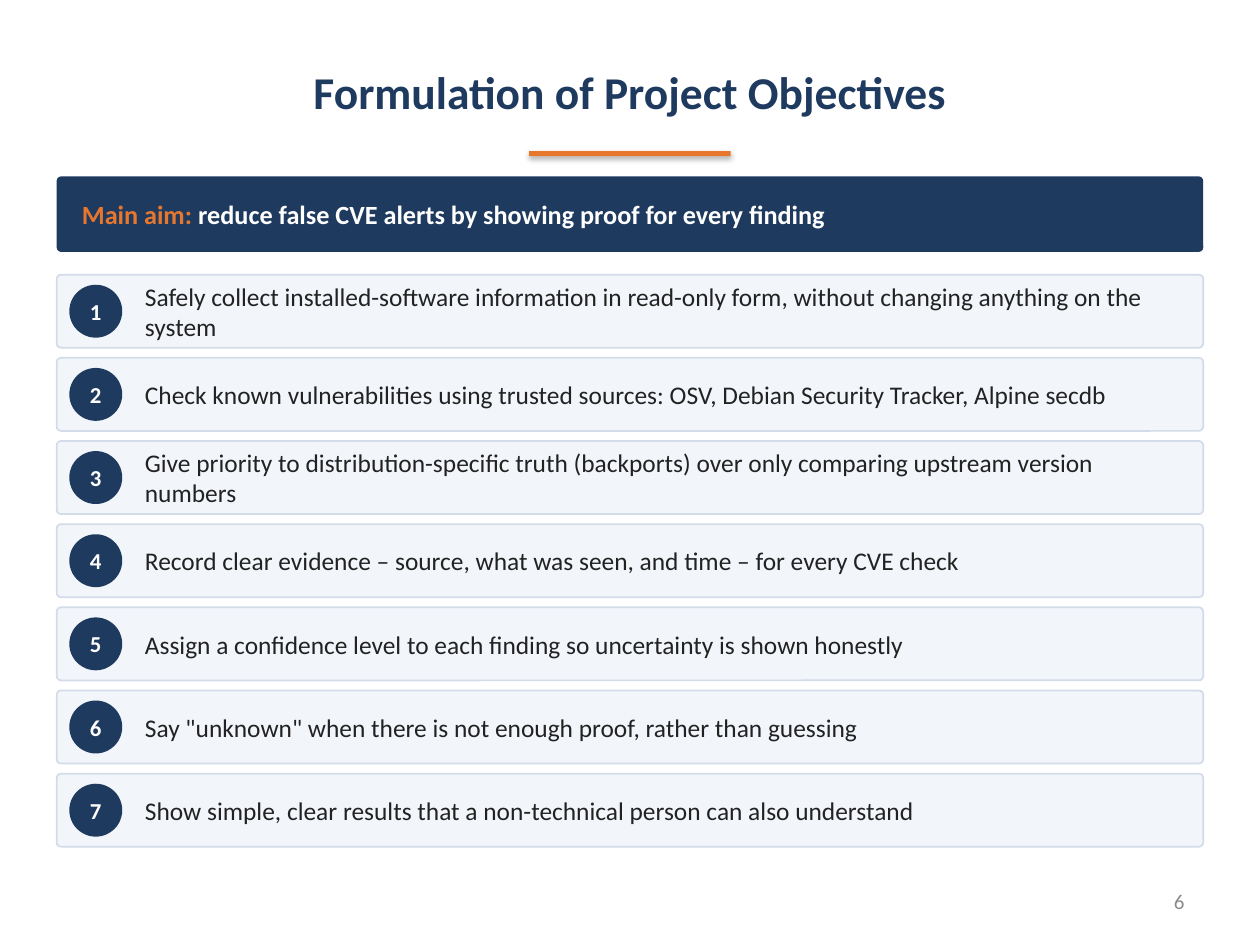
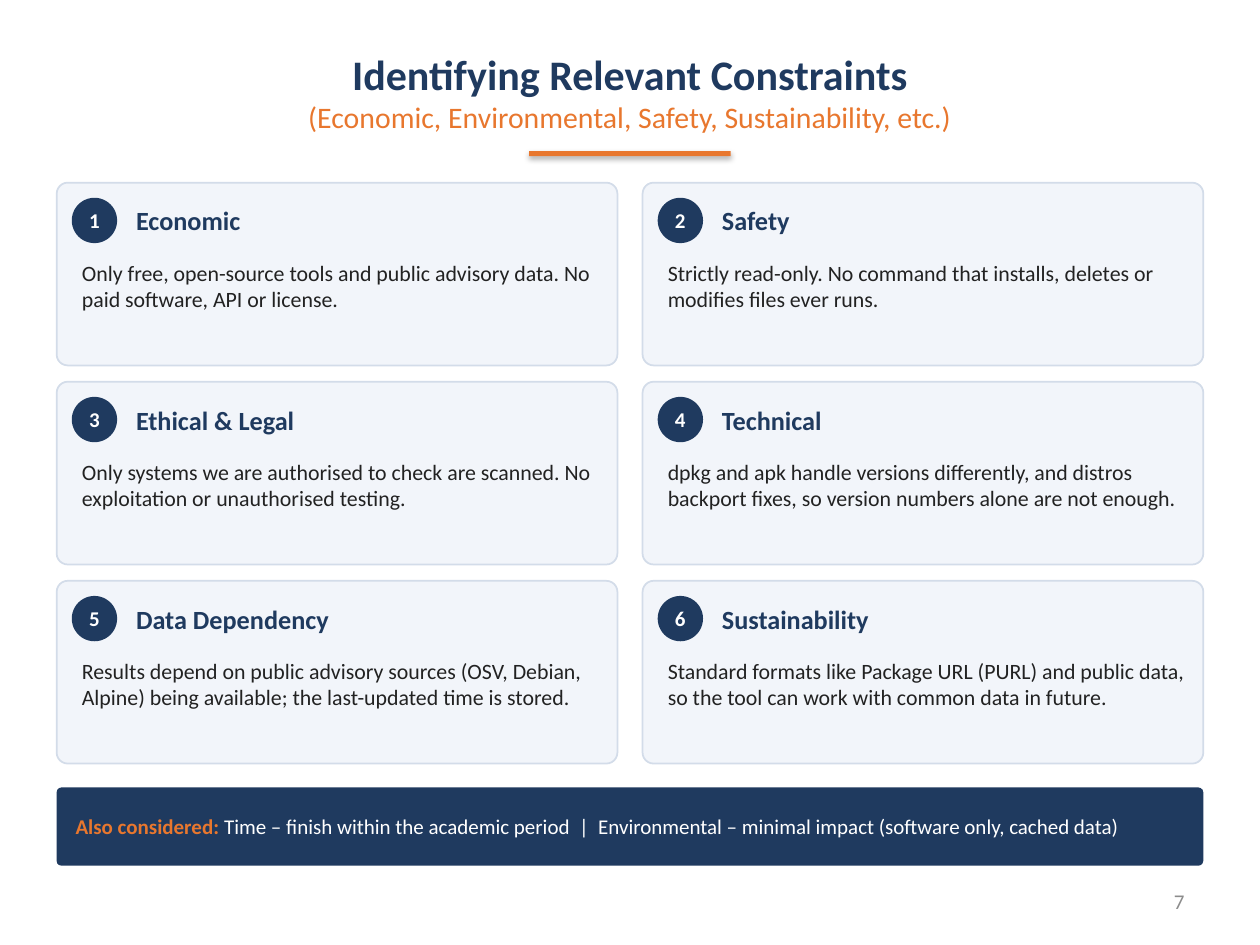
"""Build two slides: project objectives and relevant constraints."""
from pptx import Presentation
from pptx.dml.color import RGBColor
from pptx.enum.shapes import MSO_SHAPE
from pptx.enum.text import MSO_ANCHOR, MSO_AUTO_SIZE, PP_ALIGN
from pptx.util import Inches, Pt

RECT, ROUNDED, OVAL = MSO_SHAPE.RECTANGLE, MSO_SHAPE.ROUNDED_RECTANGLE, MSO_SHAPE.OVAL
TOP, MIDDLE = MSO_ANCHOR.TOP, MSO_ANCHOR.MIDDLE
LEFT, CENTER, RIGHT = PP_ALIGN.LEFT, PP_ALIGN.CENTER, PP_ALIGN.RIGHT
GROW = MSO_AUTO_SIZE.SHAPE_TO_FIT_TEXT

FONT = "Calibri"
NAVY, ORANGE, WHITE = "1F3A5F", "E8772E", "FFFFFF"
PANEL, BORDER, INK, GREY = "F2F5FA", "D3DCE9", "222222", "8C8C8C"
MARGIN, FULL_WIDTH = 0.45, 9.1
DEFAULT_INSETS, TIGHT_INSETS, NO_INSETS = (0.1, 0.05), (0.05, 0.03), (0, 0)

OBJECTIVES = [
    "Safely collect installed-software information in read-only form, "
    "without changing anything on the system",
    "Check known vulnerabilities using trusted sources: OSV, Debian Security Tracker, Alpine secdb",
    "Give priority to distribution-specific truth (backports) over only comparing "
    "upstream version numbers",
    "Record clear evidence – source, what was seen, and time – for every CVE check",
    "Assign a confidence level to each finding so uncertainty is shown honestly",
    'Say "unknown" when there is not enough proof, rather than guessing',
    "Show simple, clear results that a non-technical person can also understand",
]

CONSTRAINTS = [
    ("Economic",
     "Only free, open-source tools and public advisory data. No paid software, API or license."),
    ("Safety",
     "Strictly read-only. No command that installs, deletes or modifies files ever runs."),
    ("Ethical & Legal",
     "Only systems we are authorised to check are scanned. "
     "No exploitation or unauthorised testing."),
    ("Technical",
     "dpkg and apk handle versions differently, and distros backport fixes, "
     "so version numbers alone are not enough."),
    ("Data Dependency",
     "Results depend on public advisory sources (OSV, Debian, Alpine) being available; "
     "the last-updated time is stored."),
    ("Sustainability",
     "Standard formats like Package URL (PURL) and public data, "
     "so the tool can work with common data in future."),
]


def rgb(color):
    """Turn a hex string into a colour."""
    return RGBColor.from_string(color)


def style(size, color, bold=False):
    """Return the format values of a run."""
    return {"name": FONT, "size": Pt(size), "bold": bold, "color": color}


def write(tf, paragraphs, align=LEFT, anchor=MIDDLE, insets=TIGHT_INSETS, after=0):
    """Fill a text frame with paragraphs, each a list of (text, style) runs."""
    side, end = map(Inches, insets)
    frame = {"word_wrap": True, "vertical_anchor": anchor, "margin_left": side,
             "margin_right": side, "margin_top": end, "margin_bottom": end}
    for key, value in frame.items():
        setattr(tf, key, value)
    for i, runs in enumerate(paragraphs):
        p = tf.add_paragraph() if i else tf.paragraphs[0]
        p.alignment = align
        p.space_after = Pt(after)
        for text, values in runs:
            r = p.add_run()
            r.text = text
            for key, value in values.items():
                if key == "color":
                    r.font.color.rgb = rgb(value)
                else:
                    setattr(r.font, key, value)


def add_box(s, kind, at, fill, line=None, shadow=False):
    """Add a filled shape with an optional thin outline."""
    sp = s.shapes.add_shape(kind, *map(Inches, at))
    sp.fill.solid()
    sp.fill.fore_color.rgb = rgb(fill)
    if line:
        sp.line.color.rgb = rgb(line)
        sp.line.width = Pt(1)
    else:
        sp.line.fill.background()
    if not shadow:
        sp.shadow.inherit = False
    if kind == ROUNDED:
        sp.adjustments[0] = 0.06
    return sp


def add_text(s, at, paragraphs, **options):
    """Add a text box and return its frame."""
    tf = s.shapes.add_textbox(*map(Inches, at)).text_frame
    write(tf, paragraphs, **options)
    return tf


def add_body(s, at, runs, anchor=MIDDLE):
    """Add a one-paragraph text box that grows with its text."""
    add_text(s, at, [runs], anchor=anchor, after=3).auto_size = GROW


def add_badge(s, left, top, diameter, number, size):
    """Add a numbered navy circle."""
    sp = add_box(s, OVAL, (left, top, diameter, diameter), NAVY)
    write(sp.text_frame, [[(str(number), style(size, WHITE, True))]],
          align=CENTER, insets=NO_INSETS)


def add_banner(s, top, height, pad, label, message, size, bold):
    """Add a navy band with an orange label and a white message."""
    add_box(s, ROUNDED, (MARGIN, top, FULL_WIDTH, height), NAVY)
    add_body(s, (MARGIN + pad, top, FULL_WIDTH - 2 * pad, height),
             [(label, style(size, ORANGE, True)), (message, style(size, WHITE, bold))])


def add_base_slide(prs, number, title_lines):
    """Add a blank slide with title, page number and accent rule."""
    s = prs.slides.add_slide(prs.slide_layouts[6])
    add_text(s, (0.5, 0.25, 9, 0.95), [[line] for line in title_lines],
             align=CENTER, insets=DEFAULT_INSETS)
    add_text(s, (7.17, 6.95, 2.33, 0.4), [[(str(number), style(12, GREY))]],
             align=RIGHT, insets=DEFAULT_INSETS)
    add_box(s, RECT, (4.2, 1.2, 1.6, 0.04), ORANGE, shadow=True)
    return s


def add_objective(s, number, text):
    """Add one numbered objective row."""
    top = 2.18 + (number - 1) * 0.66
    add_box(s, ROUNDED, (MARGIN, top, FULL_WIDTH, 0.58), PANEL, BORDER)
    add_badge(s, MARGIN + 0.1, top + 0.08, 0.42, number, 13)
    add_body(s, (1.1, top, 8.35, 0.58), [(text, style(14.5, INK))])


def add_constraint(s, number, heading, text):
    """Add one numbered constraint card in the two-column grid."""
    row, col = divmod(number - 1, 2)
    left, top = MARGIN + col * 4.65, 1.45 + row * 1.58
    add_box(s, ROUNDED, (left, top, 4.45, 1.45), PANEL, BORDER)
    add_badge(s, left + 0.12, top + 0.12, 0.36, number, 12)
    add_body(s, (left + 0.58, top + 0.1, 3.8, 0.4), [(heading, style(15, NAVY, True))])
    add_body(s, (left + 0.15, top + 0.58, 4.2, 0.85), [(text, style(12.5, INK))], TOP)


def build_objectives(prs):
    """Build the objectives slide."""
    s = add_base_slide(prs, 6, [("Formulation of Project Objectives", style(26, NAVY, True))])
    add_banner(s, 1.4, 0.6, 0.15, "Main aim: ",
               "reduce false CVE alerts by showing proof for every finding", 15, True)
    for number, text in enumerate(OBJECTIVES, 1):
        add_objective(s, number, text)


def build_constraints(prs):
    """Build the constraints slide."""
    s = add_base_slide(prs, 7, [
        ("Identifying Relevant Constraints", style(24, NAVY, True)),
        ("(Economic, Environmental, Safety, Sustainability, etc.)", style(17, ORANGE)),
    ])
    for number, (heading, text) in enumerate(CONSTRAINTS, 1):
        add_constraint(s, number, heading, text)
    add_banner(s, 6.25, 0.62, 0.1, "Also considered: ",
               "Time – finish within the academic period  |  "
               "Environmental – minimal impact (software only, cached data)", 12, False)


def main():
    """Build and save the presentation."""
    prs = Presentation()
    prs.slide_width, prs.slide_height = Inches(10), Inches(7.5)
    build_objectives(prs)
    build_constraints(prs)
    prs.save("out.pptx")


if __name__ == "__main__":
    main()
